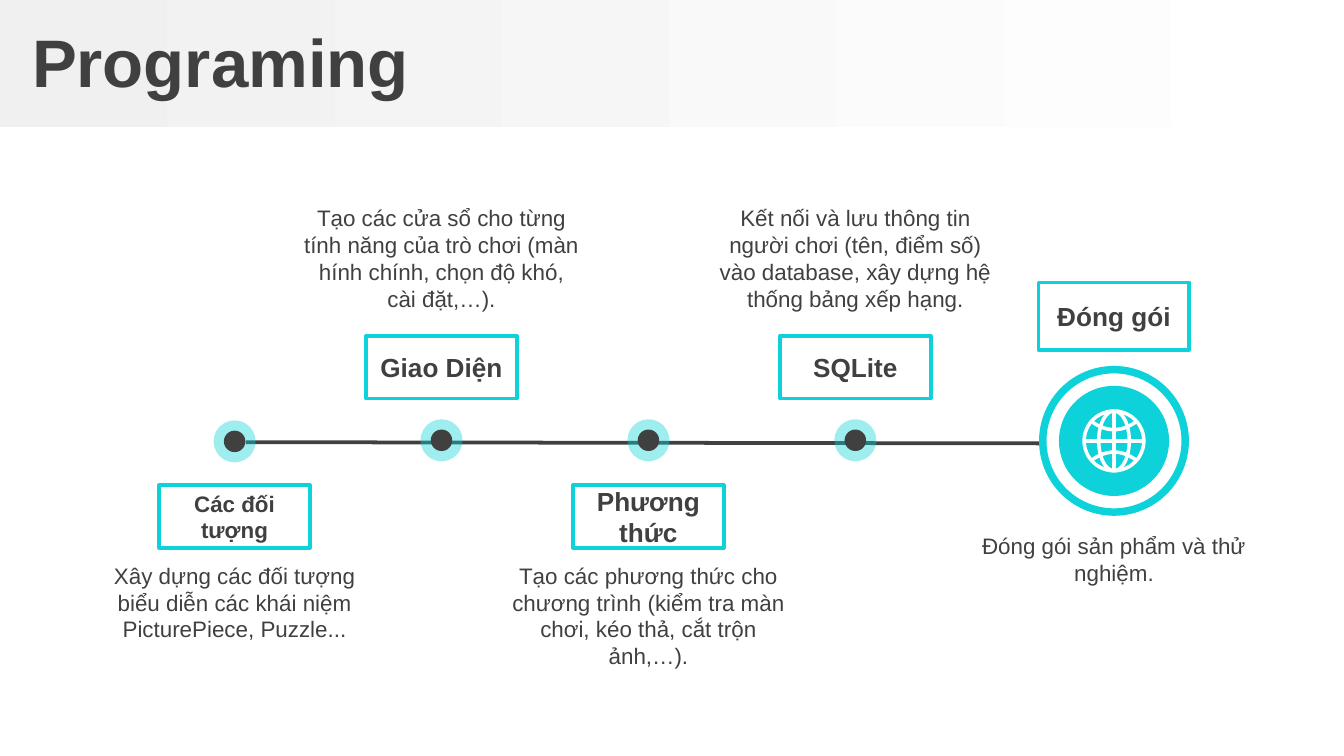
from math import cos, pi, sin

from lxml.etree import SubElement
from pptx import Presentation
from pptx.dml.color import RGBColor
from pptx.enum.shapes import MSO_CONNECTOR, MSO_SHAPE
from pptx.enum.text import MSO_ANCHOR, PP_ALIGN
from pptx.oxml.ns import qn
from pptx.util import Pt

COLORS = {"text": "404040", "accent": "0DD2D9", "white": "FFFFFF", "band": "F0F0F0"}
TITLE = "Programing"
STEPS = [
    ("Các đối tượng", 12, "below", 236.5, 51,
     "Xây dựng các đối tượng biểu diễn các khái niệm PicturePiece, Puzzle..."),
    ("Giao Diện", 14, "above", 235.9, 65.5,
     "Tạo các cửa sổ cho từng tính năng của trò chơi (màn hính chính, "
     "chọn độ khó, cài đặt,…)."),
    ("Phương thức", 14, "below", 235.9, 65.5,
     "Tạo các phương thức cho chương trình (kiểm tra màn chơi, kéo thả, "
     "cắt trộn ảnh,…)."),
    ("SQLite", 14, "above", 235.9, 65.5,
     "Kết nối và lưu thông tin người chơi (tên, điểm số) vào database, "
     "xây dựng hệ thống bảng xếp hạng."),
]
GOAL = ("Đóng gói", 14, "Đóng gói sản phẩm và thử nghiệm.")
ROWS = {"above": (180, 105.8), "below": (260, 297.4)}
FIRST_X, STEP_X = 125.7, 110.85
GOAL_X, GOAL_Y = 596.8, 236.2
LABEL_W, DESC_W = 80.8, 162

prs = Presentation()
prs.slide_width, prs.slide_height = Pt(720), Pt(405)
s = prs.slides.add_slide(prs.slide_layouts[6])


def color(name):
    return RGBColor.from_string(COLORS[name])


def add_shape(kind, x, y, w, h, fill=None, line=None, width=2, alpha=None):
    sp = s.shapes.add_shape(kind, Pt(x), Pt(y), Pt(w), Pt(h))
    sp.shadow.inherit = False
    if fill:
        sp.fill.solid()
        sp.fill.fore_color.rgb = color(fill)
    else:
        sp.fill.background()
    if line:
        sp.line.color.rgb = color(line)
        sp.line.width = Pt(width)
    else:
        sp.line.fill.background()
    if alpha:
        srgb = sp.fill._xPr.find(qn("a:solidFill"))[0]
        SubElement(srgb, qn("a:alpha")).set("val", str(alpha * 1000))
    return sp


def add_circle(cx, cy, d, **style):
    return add_shape(MSO_SHAPE.OVAL, cx - d / 2, cy - d / 2, d, d, **style)


def write(sp, text, size, bold=False, align=PP_ALIGN.CENTER,
          anchor=MSO_ANCHOR.MIDDLE, margin=7.2):
    tf = sp.text_frame
    tf.text = text
    tf.word_wrap = True
    tf.vertical_anchor = anchor
    tf.margin_left = tf.margin_right = Pt(margin)
    p = tf.paragraphs[0]
    p.alignment = align
    font = p.runs[0].font
    font.name, font.size, font.bold = "Arial", Pt(size), bold
    font.color.rgb = color("text")


def add_label(text, size, cx, y, h):
    sp = add_shape(MSO_SHAPE.RECTANGLE, cx - LABEL_W / 2, y, LABEL_W, h, line="accent")
    write(sp, text, size, bold=True, margin=7)


def add_desc(text, cx, y, h):
    sp = s.shapes.add_textbox(Pt(cx - DESC_W / 2), Pt(y), Pt(DESC_W), Pt(h))
    write(sp, text, 12, anchor=MSO_ANCHOR.TOP)


def ellipse(rx, ry, n=48):
    return [(rx * cos(2 * pi * i / n), ry * sin(2 * pi * i / n)) for i in range(n + 1)]


def parallel(sign):
    return [(x, sign * (6 + 4 * (x / 11.5) ** 2))
            for x in (11.5 * i / 8 for i in range(-8, 9))]


def add_globe(cx, cy, r):
    strokes = [ellipse(r, r), ellipse(8.2, r), [(-r, 0), (r, 0)], [(0, -r), (0, r)],
               parallel(-1), parallel(1)]
    scaled = [[(x * 100, y * 100) for x, y in stroke] for stroke in strokes]
    fb = s.shapes.build_freeform(*scaled[0][0], scale=Pt(1) / 100)
    for i, stroke in enumerate(scaled):
        if i:
            fb.move_to(*stroke[0])
        fb.add_line_segments(stroke[1:], close=False)
    sp = fb.convert_to_shape(Pt(cx), Pt(cy))
    sp.shadow.inherit = False
    sp.fill.background()
    sp.line.color.rgb = color("white")
    sp.line.width = Pt(1.9)


band = add_shape(MSO_SHAPE.RECTANGLE, 0, 0, 717, 68)
band.fill.gradient()
band.fill.gradient_angle = 0
for stop, name, position in zip(band.fill.gradient_stops, ("band", "white"), (0, 1)):
    stop.color.rgb = color(name)
    stop.position = position

title = s.shapes.add_textbox(0, Pt(2.2), Pt(720), Pt(61))
write(title, TITLE, 36, bold=True, align=PP_ALIGN.LEFT, margin=14.4)
title.text_frame.margin_left = Pt(17.2)

axis = s.shapes.add_connector(MSO_CONNECTOR.STRAIGHT, Pt(131.8), Pt(236.9),
                              Pt(602.6), Pt(237.6))
axis.line.color.rgb = color("text")
axis.line.width = Pt(2)
SubElement(axis._element.spPr, qn("a:effectLst"))

add_circle(GOAL_X, GOAL_Y, 76.3, fill="white", line="accent", width=4)
add_circle(GOAL_X, GOAL_Y, 59, fill="accent")
add_globe(GOAL_X, GOAL_Y, 16)

for i, (name, size, side, node_y, desc_h, desc) in enumerate(STEPS):
    cx = FIRST_X + i * STEP_X
    label_y, desc_y = ROWS[side]
    add_circle(cx, node_y, 22.5, fill="accent", alpha=40)
    add_circle(cx, node_y, 11.5, fill="text")
    add_label(name, size, cx, label_y, 33.5)
    add_desc(desc, cx, desc_y, desc_h)

name, size, desc = GOAL
add_label(name, size, GOAL_X, 151.4, 36)
add_desc(desc, GOAL_X, 281.5, 36)

prs.save("out.pptx")
